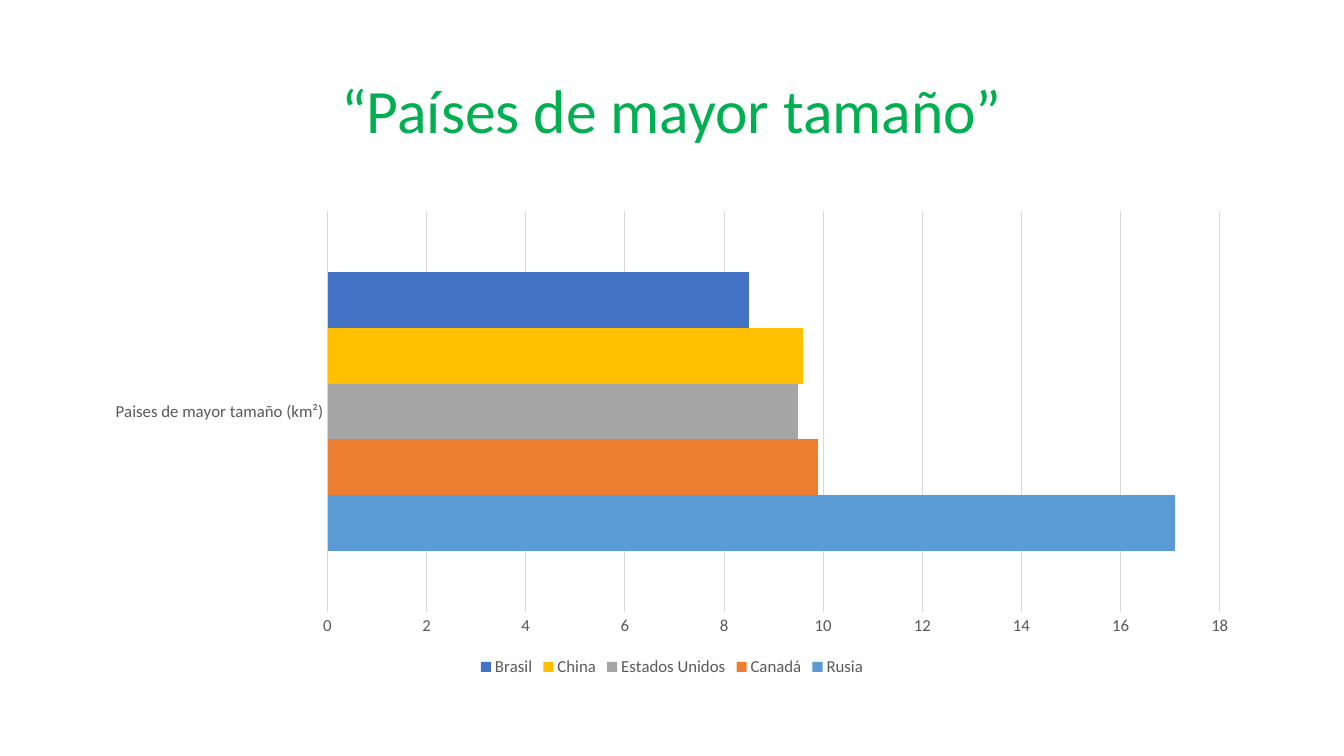
import pptx
import pptx.util
import pptx.chart.data
import pptx.dml.color
import pptx.enum.chart
import pptx.enum.text

Pt = pptx.util.Pt
RGB = pptx.dml.color.RGBColor.from_string
FONT = "Calibri"
COLORS = {"title": "00B050", "text": "595959", "grid": "D9D9D9",
          "Rusia": "5B9BD5", "Canadá": "ED7D31", "Estados Unidos": "A5A5A5",
          "China": "FFC000", "Brasil": "4472C4"}
SIZES = {"Rusia": 17.1, "Canadá": 9.9, "Estados Unidos": 9.5,
         "China": 9.6, "Brasil": 8.5}
LEFT, WIDTH = Pt(66), Pt(828)


def set_font(font, size, color):
    font.name = FONT
    font.size = Pt(size)
    font.color.rgb = RGB(COLORS[color])


def set_line(line):
    line.color.rgb = RGB(COLORS["grid"])
    line.width = Pt(0.75)


prs = pptx.Presentation()
prs.slide_width, prs.slide_height = Pt(960), Pt(540)
s = prs.slides.add_slide(prs.slide_layouts[5])

# Title
title = s.shapes.title
title.left, title.top, title.width, title.height = LEFT, Pt(28.75), WIDTH, Pt(104.4)
tf = title.text_frame
tf.text = "“Países de mayor tamaño”"
tf.vertical_anchor = pptx.enum.text.MSO_ANCHOR.MIDDLE
p = tf.paragraphs[0]
p.alignment = pptx.enum.text.PP_ALIGN.CENTER
p.line_spacing = 0.9
set_font(p.runs[0].font, 44, "title")

# Bar chart: one series per country
data = pptx.chart.data.CategoryChartData()
data.categories = ["Paises de mayor tamaño (km²)"]
for country, size in SIZES.items():
    data.add_series(country, [size])
chart = s.shapes.add_chart(pptx.enum.chart.XL_CHART_TYPE.BAR_CLUSTERED,
                           LEFT, Pt(143.75), WIDTH, Pt(342.6), data).chart
chart.has_title = False
set_font(chart.font, 12, "text")
plot = chart.plots[0]
plot.gap_width = 219
plot.overlap = 0
plot.vary_by_categories = False
for series in plot.series:
    series.format.fill.solid()
    series.format.fill.fore_color.rgb = RGB(COLORS[series.name])

# Axes
for axis in (chart.category_axis, chart.value_axis):
    axis.major_tick_mark = pptx.enum.chart.XL_TICK_MARK.NONE
    axis.minor_tick_mark = pptx.enum.chart.XL_TICK_MARK.NONE
    set_font(axis.tick_labels.font, 12, "text")
set_line(chart.category_axis.format.line)
chart.value_axis.format.line.fill.background()
chart.value_axis.has_major_gridlines = True
set_line(chart.value_axis.major_gridlines.format.line)

# Legend
chart.has_legend = True
chart.legend.position = pptx.enum.chart.XL_LEGEND_POSITION.BOTTOM
chart.legend.include_in_layout = False
set_font(chart.legend.font, 12, "text")

prs.save("out.pptx")
